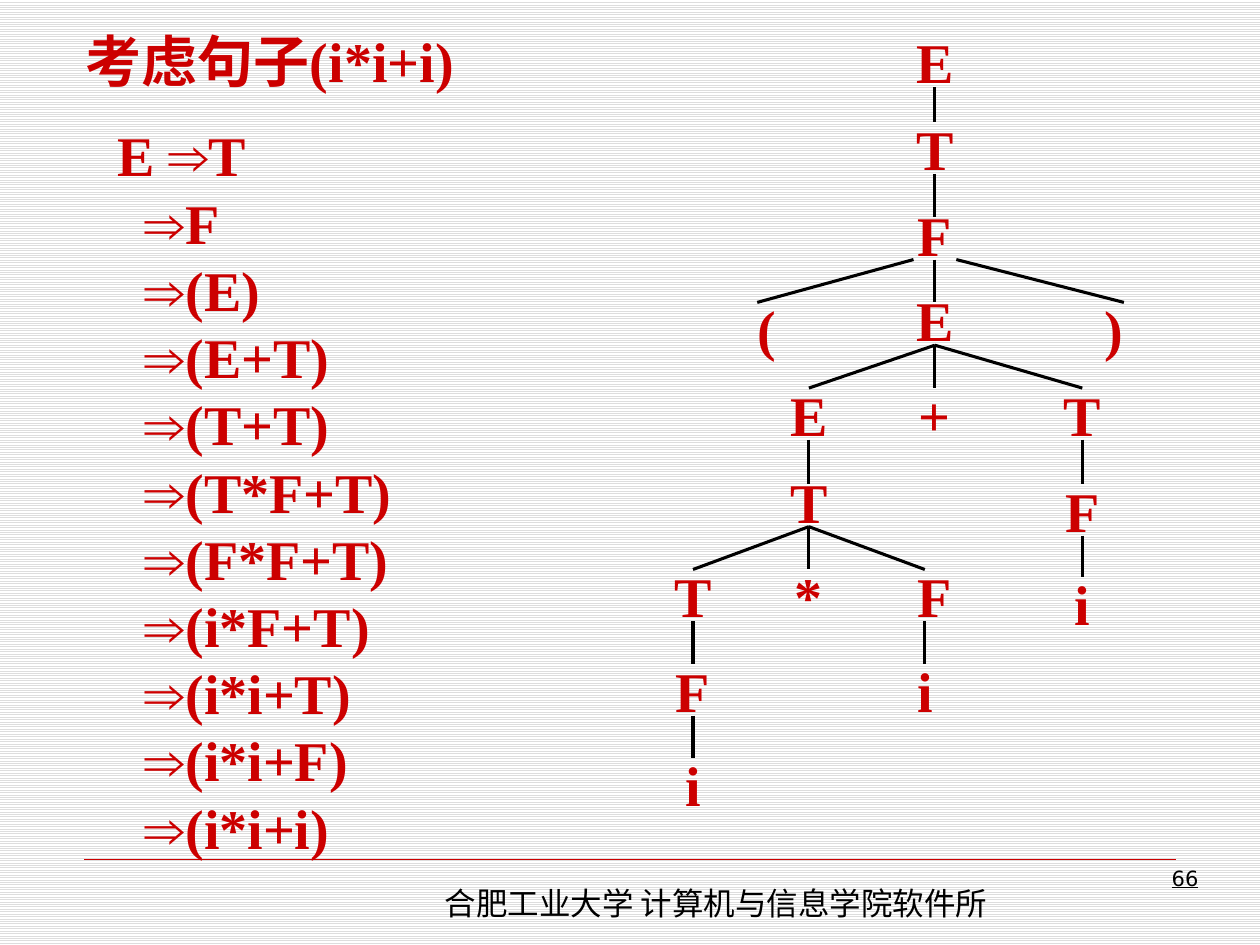
from dataclasses import dataclass

from lxml import etree
from pptx import Presentation
from pptx.dml.color import RGBColor
from pptx.enum.dml import MSO_PATTERN
from pptx.enum.shapes import MSO_CONNECTOR
from pptx.enum.text import MSO_ANCHOR, MSO_AUTO_SIZE, PP_ALIGN
from pptx.oxml.ns import qn
from pptx.util import Inches, Pt

RED = RGBColor(0xCC, 0x00, 0x00)
BLACK = RGBColor(0x00, 0x00, 0x00)
WHITE = RGBColor(0xFF, 0xFF, 0xFF)
STRIPE = RGBColor(0xDD, 0xDD, 0xDD)
SERIF, SANS, CJK = "Times New Roman", "DejaVu Sans", "Noto Sans CJK SC"
LEFT, CENTER, RIGHT = PP_ALIGN.LEFT, PP_ALIGN.CENTER, PP_ALIGN.RIGHT
TOP, MIDDLE = MSO_ANCHOR.TOP, MSO_ANCHOR.MIDDLE
NO_FIT = MSO_AUTO_SIZE.NONE
STRAIGHT = MSO_CONNECTOR.STRAIGHT
STRIPES = MSO_PATTERN.LIGHT_HORIZONTAL

NODE_W, NODE_H, EDGE_END = 0.67, 0.41, 0.07
STEPS = ["E ⇒T", "⇒F", "⇒(E)", "⇒(E+T)", "⇒(T+T)", "⇒(T*F+T)", "⇒(F*F+T)",
         "⇒(i*F+T)", "⇒(i*i+T)", "⇒(i*i+F)", "⇒(i*i+i)"]


@dataclass
class Node:
    """A tree symbol: centre, top, parent index and shifts of its edge."""
    text: str
    x: float
    y: float
    parent: int = -1
    start_dx: float = 0
    end_dx: float = 0
    end_dy: float = 0


TREE = [
    Node("E", 2.25, 0),
    Node("T", 2.25, 0.69, 0),
    Node("F", 2.25, 1.37, 1, end_dy=EDGE_END),
    Node("(", 0.92, 2.12, 2, start_dx=-0.17, end_dx=-0.08),
    Node("E", 2.25, 2.05, 2, end_dy=EDGE_END),
    Node(")", 3.67, 2.12, 2, start_dx=0.17, end_dx=0.08),
    Node("E", 1.25, 2.8, 4),
    Node("+", 2.25, 2.8, 4),
    Node("T", 3.42, 2.8, 4),
    Node("T", 1.25, 3.49, 6, end_dy=EDGE_END),
    Node("F", 3.42, 3.56, 8),
    Node("T", 0.33, 4.24, 9),
    Node("*", 1.25, 4.24, 9),
    Node("F", 2.25, 4.24, 9, end_dx=-0.08),
    Node("i", 3.42, 4.3, 10),
    Node("F", 0.33, 4.99, 11),
    Node("i", 2.17, 4.99, 13, start_dx=-0.08),
    Node("i", 0.33, 5.74, 15),
]


def write(p, text, size=32, font=SERIF, color=RED, bold=True, underline=False,
          align=LEFT):
    """Write one formatted run into a paragraph."""
    p.alignment = align
    r = p.add_run()
    r.text = text
    f = r.font
    f.size, f.name, f.bold, f.underline = Pt(size), font, bold, underline
    f.color.rgb = color
    ea = etree.SubElement(r._r.get_or_add_rPr(), qn("a:ea"))
    ea.set("typeface", CJK)


def place(sp, left, top, width, height):
    """Place a shape and return its top-anchored text frame."""
    sp.left, sp.top = Inches(left), Inches(top)
    sp.width, sp.height = Inches(width), Inches(height)
    tf = sp.text_frame
    tf.word_wrap, tf.auto_size, tf.vertical_anchor = True, NO_FIT, TOP
    return tf


def add_text(shapes, text, left, top, width, height, **fmt):
    """Add a text box holding one line."""
    tf = place(shapes.add_textbox(0, 0, 0, 0), left, top, width, height)
    write(tf.paragraphs[0], text, **fmt)
    return tf


def add_line(shapes, x1, y1, x2, y2, color=BLACK, width=1.75):
    """Add a straight line without a shadow."""
    line = shapes.add_connector(STRAIGHT, Inches(x1), Inches(y1), Inches(x2), Inches(y2))
    line.line.color.rgb = color
    line.line.width = Pt(width)
    etree.SubElement(line._element.spPr, qn("a:effectLst"))


def add_title(s, left, top, width, height):
    """Fill the title placeholder."""
    tf = place(s.shapes.title, left, top, width, height)
    write(tf.paragraphs[0], "考虑句子(i*i+i)")


def add_derivation(s, left, top, width, height):
    """List the derivation steps in the body placeholder."""
    tf = place(s.placeholders[1], left, top, width, height)
    for i, step in enumerate(STEPS):
        p = tf.paragraphs[0] if i == 0 else tf.add_paragraph()
        p.line_spacing, p.space_before = Pt(38.4), Pt(0)
        pPr = p._p.get_or_add_pPr()
        pPr.set("marL", str(Inches(0.22 if i else 0)))
        pPr.set("indent", "0")
        etree.SubElement(pPr, qn("a:buNone"))
        write(p, step)


def add_tree(s, left, top):
    """Draw the syntax tree as one group."""
    shapes = s.shapes.add_group_shape().shapes
    for n in TREE:
        tf = add_text(shapes, n.text, left + n.x - NODE_W / 2, top + n.y,
                      NODE_W, NODE_H, align=CENTER)
        tf.word_wrap, tf.vertical_anchor = False, MIDDLE
        tf.margin_left = tf.margin_right = tf.margin_top = tf.margin_bottom = 0
        if n.parent >= 0:
            up = TREE[n.parent]
            add_line(shapes, left + up.x + n.start_dx, top + up.y + NODE_H,
                     left + n.x + n.end_dx, top + n.y + n.end_dy)


def add_footer(s, left, top, width):
    """Draw the footer rule, the institute and the page number."""
    add_line(s.shapes, left, top, left + width, top, color=RED, width=0.25)
    add_text(s.shapes, "合肥工业大学 计算机与信息学院软件所", left + 2.76, top + 0.15,
             4.88, 0.4, size=18, font=CJK, color=BLACK, bold=False)
    add_text(s.shapes, "66", left + 6.77, top, 2.17, 0.52, size=12, font=SANS,
             color=BLACK, bold=False, underline=True, align=RIGHT)


def main():
    """Build the slide and save it."""
    prs = Presentation()
    prs.slide_width, prs.slide_height = Inches(10), Inches(7.5)
    s = prs.slides.add_slide(prs.slide_layouts[1])
    fill = s.background.fill
    fill.patterned()
    fill.pattern = STRIPES
    fill.fore_color.rgb, fill.back_color.rgb = STRIPE, WHITE
    add_footer(s, 0.67, 6.82, 8.66)
    add_tree(s, 5.17, 0.28)
    add_derivation(s, 0.83, 0.91, 3.5, 5.83)
    add_title(s, 0.58, 0.16, 4.08, 0.75)
    prs.save("out.pptx")


if __name__ == "__main__":
    main()
